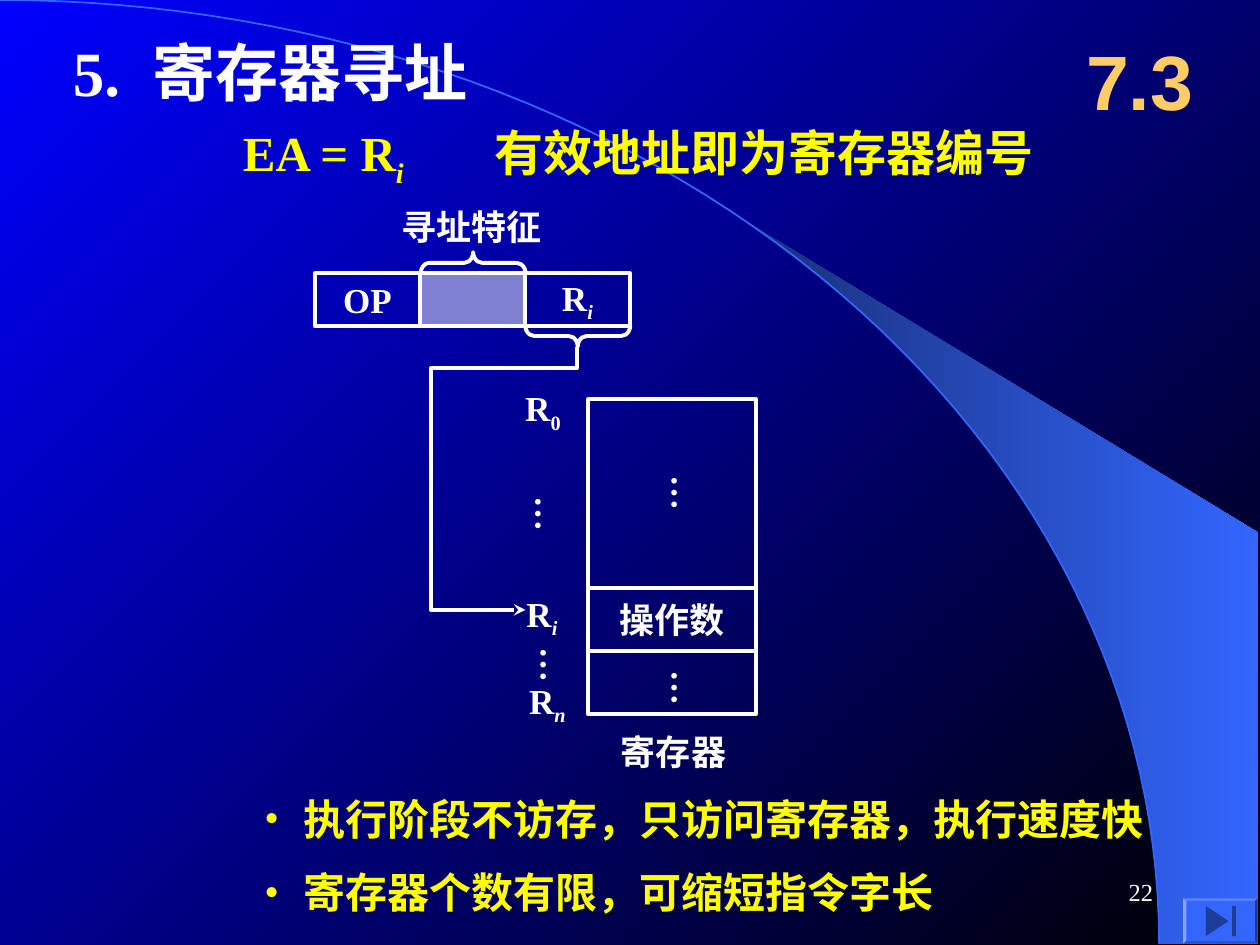
from math import cos, pi, sin, asin
from lxml import etree
from pptx import Presentation
from pptx.dml.color import RGBColor
from pptx.enum.shapes import MSO_SHAPE as SHAPE
from pptx.enum.text import MSO_ANCHOR as ANCHOR, MSO_AUTO_SIZE as AUTO, PP_ALIGN as ALIGN
from pptx.oxml.ns import qn
from pptx.util import Inches, Pt

WHITE, YELLOW, GOLD, BLUE = "FFFFFF", "FFFF00", "FFCC66", "3366FF"
SERIF, SANS = "Times New Roman", "Arial"
LABEL = dict(size=20, bold=True, name=SERIF, color=WHITE)
TITLE = LABEL | dict(size=36)
FORMULA = LABEL | dict(size=28, color=YELLOW)
NOTE = LABEL | dict(size=24, color=YELLOW)
SECTION = LABEL | dict(size=44, name=SANS, color=GOLD)
NUMBER = LABEL | dict(size=14, bold=False)

TEXTS = [
    ((0.48, 0.22, 3.77, 0.7), "5.\t寄存器寻址", TITLE, dict(tab=0.63)),
    ((1.83, 0.92, 1.5, 0.63), "EA = R_i", FORMULA, dict(wrap=False)),
    ((3.83, 0.92, 4.83, 0.57), "有效地址即为寄存器编号", FORMULA, {}),
    ((8.42, 0.17, 1.25, 0.92), "7.3", SECTION, dict(align=ALIGN.CENTER, anchor=ANCHOR.MIDDLE)),
    ((3.09, 1.58, 1.31, 0.44), "寻址特征", LABEL, dict(wrap=False)),
    ((4.07, 3.02, 0.48, 0.48), "R_0", LABEL, dict(wrap=False)),
    ((4.08, 4.65, 0.47, 0.48), "R_i", LABEL, dict(wrap=False)),
    ((4.1, 5.34, 0.49, 0.48), "R_n", LABEL, dict(wrap=False)),
    ((4.83, 5.75, 1.33, 0.44), "寄存器", LABEL, {}),
    ((2, 6.25, 7.42, 0.5), "执行阶段不访存，只访问寄存器，执行速度快", NOTE, dict(bullet=True)),
    ((2, 6.83, 7.42, 0.5), "寄存器个数有限，可缩短指令字长", NOTE, dict(bullet=True)),
    ((7.17, 6.83, 2.08, 0.5), "22", NUMBER, dict(align=ALIGN.RIGHT, anchor=ANCHOR.MIDDLE)),
]
ELLIPSES = [(5.13, 3.67), (5.13, 5.22), (4.05, 3.84), (4.09, 5.04)]
FIELDS = ["OP", None, "R_i"]
FIELD_X, FIELD_Y, FIELD_W, FIELD_H = 2.5, 2.17, 2.5 / 3, 0.42
REGISTERS = [(1.5, None), (0.5, "操作数"), (0.5, None)]
REG_X, REG_Y, REG_W = 4.67, 3.17, 1.33
BRACES = [(3.67, 1.67, 90), (4.5, 2.25, 270)]
ADDRESS_PATH = [(4.58, 2.75), (4.58, 2.92), (3.42, 2.92), (3.42, 4.84), (4.17, 4.84)]
ARC_RX, ARC_RY, SWOOSH_X = 9.2, 7.49, 5.89
BUTTON = [(SHAPE.BEVEL, (9.39, 7.13, 0.59, 0.36)),
          (SHAPE.ACTION_BUTTON_END, (9.42, 7.15, 0.54, 0.32))]


def rgb(value):
    return RGBColor.from_string(value)


def gradient(fill, colors, angle):
    fill.gradient()
    fill.gradient_angle = angle
    for stop, color in zip(fill.gradient_stops, colors):
        stop.color.rgb = rgb(color)


def outline(sp, color=WHITE, width=2.25):
    sp.shadow.inherit = False
    sp.fill.background()
    sp.line.color.rgb = rgb(color)
    sp.line.width = Pt(width)
    return sp


def write(sp, text, fmt, align=ALIGN.LEFT, anchor=ANCHOR.TOP, wrap=True,
          bullet=False, tab=None, vertical=False):
    tf = sp.text_frame
    tf.word_wrap, tf.vertical_anchor = wrap, anchor
    if vertical:
        tf._txBody.bodyPr.set("vert", "eaVert")
        tf.margin_left = tf.margin_right = Inches(0.05)
        tf.margin_top = tf.margin_bottom = Inches(0.1)
    p = tf.paragraphs[0]
    p.alignment = align
    pPr = p._p.get_or_add_pPr()
    if bullet:
        pPr.set("marL", str(Inches(0.31)))
        pPr.set("indent", str(-Inches(0.31)))
        buClr = etree.SubElement(pPr, qn("a:buClr"))
        etree.SubElement(buClr, qn("a:srgbClr"), val=fmt["color"])
        etree.SubElement(pPr, qn("a:buFont"), typeface=fmt["name"])
        etree.SubElement(pPr, qn("a:buChar"), char="•")
    if tab:
        tabs = etree.SubElement(pPr, qn("a:tabLst"))
        etree.SubElement(tabs, qn("a:tab"), pos=str(Inches(tab)), algn="l")
    for i, part in enumerate(text.split("_")):
        r = p.add_run()
        r.text = part
        for key, value in fmt.items():
            if key == "color":
                r.font.color.rgb = rgb(value)
            else:
                setattr(r.font, key, Pt(value) if key == "size" else value)
        if i:
            r.font.italic = part.isalpha()
            r._r.get_or_add_rPr().set("baseline", "-25000")


def add_text(s, box, text, fmt, **layout):
    sp = s.shapes.add_textbox(*map(Inches, box))
    write(sp, text, fmt, **layout)
    if not layout.get("wrap", True):
        sp.text_frame.auto_size = AUTO.SHAPE_TO_FIT_TEXT


def add_cell(s, box, text):
    sp = outline(s.shapes.add_shape(SHAPE.RECTANGLE, *map(Inches, box)))
    if text:
        write(sp, text, LABEL, align=ALIGN.CENTER, anchor=ANCHOR.MIDDLE, wrap=False)
    return sp


def add_path(s, points, close=False):
    start, *rest = [(Inches(x), Inches(y)) for x, y in points]
    builder = s.shapes.build_freeform(*start)
    builder.add_line_segments(rest, close=close)
    return builder.convert_to_shape()


def arc_points(start, steps=60):
    angles = [start + (pi / 2 - start) * i / steps for i in range(steps + 1)]
    return [(ARC_RX * sin(a), ARC_RY * (1 - cos(a))) for a in angles]


def draw_backdrop(s):
    gradient(s.background.fill, ("0000FF", "000000"), 315)
    edge = arc_points(asin(SWOOSH_X / ARC_RX))
    swoosh = outline(add_path(s, edge + [(9.99, 7.49), (9.99, 4.23)], close=True))
    swoosh.line.fill.background()
    gradient(swoosh.fill, ("182F76", BLUE), 0)
    outline(add_path(s, arc_points(0)), BLUE, 1)


def draw_instruction(s):
    for i, text in enumerate(FIELDS):
        sp = add_cell(s, (FIELD_X + i * FIELD_W, FIELD_Y, FIELD_W, FIELD_H), text)
        if not text:
            sp.fill.solid()
            sp.fill.fore_color.rgb = rgb(WHITE)
            color = sp._element.spPr.find(qn("a:solidFill")).find(qn("a:srgbClr"))
            etree.SubElement(color, qn("a:alpha"), val="50000")
    for x, y, angle in BRACES:
        box = map(Inches, (x, y, 0.17, FIELD_W))
        sp = outline(s.shapes.add_shape(SHAPE.LEFT_BRACE, *box))
        sp.adjustments[0] = 0.42
        sp.rotation = angle
    arrow = outline(add_path(s, ADDRESS_PATH))
    etree.SubElement(arrow.line._get_or_add_ln(), qn("a:tailEnd"), type="stealth")


def draw_registers(s):
    y = REG_Y
    for height, text in REGISTERS:
        add_cell(s, (REG_X, y, REG_W, height), text)
        y += height
    for x, y in ELLIPSES:
        add_text(s, (x, y, 0.53, 0.38), "…", LABEL, wrap=False, vertical=True)


def draw_button(s):
    for preset, box in BUTTON:
        sp = outline(s.shapes.add_shape(preset, *map(Inches, box)))
        sp.line.fill.background()
        sp.fill.solid()
        sp.fill.fore_color.rgb = rgb(BLUE)
        if preset == SHAPE.BEVEL:
            sp.adjustments[0] = 0.07


def main():
    prs = Presentation()
    prs.slide_width, prs.slide_height = Inches(10), Inches(7.5)
    s = prs.slides.add_slide(prs.slide_layouts[6])
    draw_backdrop(s)
    draw_instruction(s)
    draw_registers(s)
    for box, text, fmt, layout in TEXTS:
        add_text(s, box, text, fmt, **layout)
    draw_button(s)
    prs.save("out.pptx")


if __name__ == "__main__":
    main()
